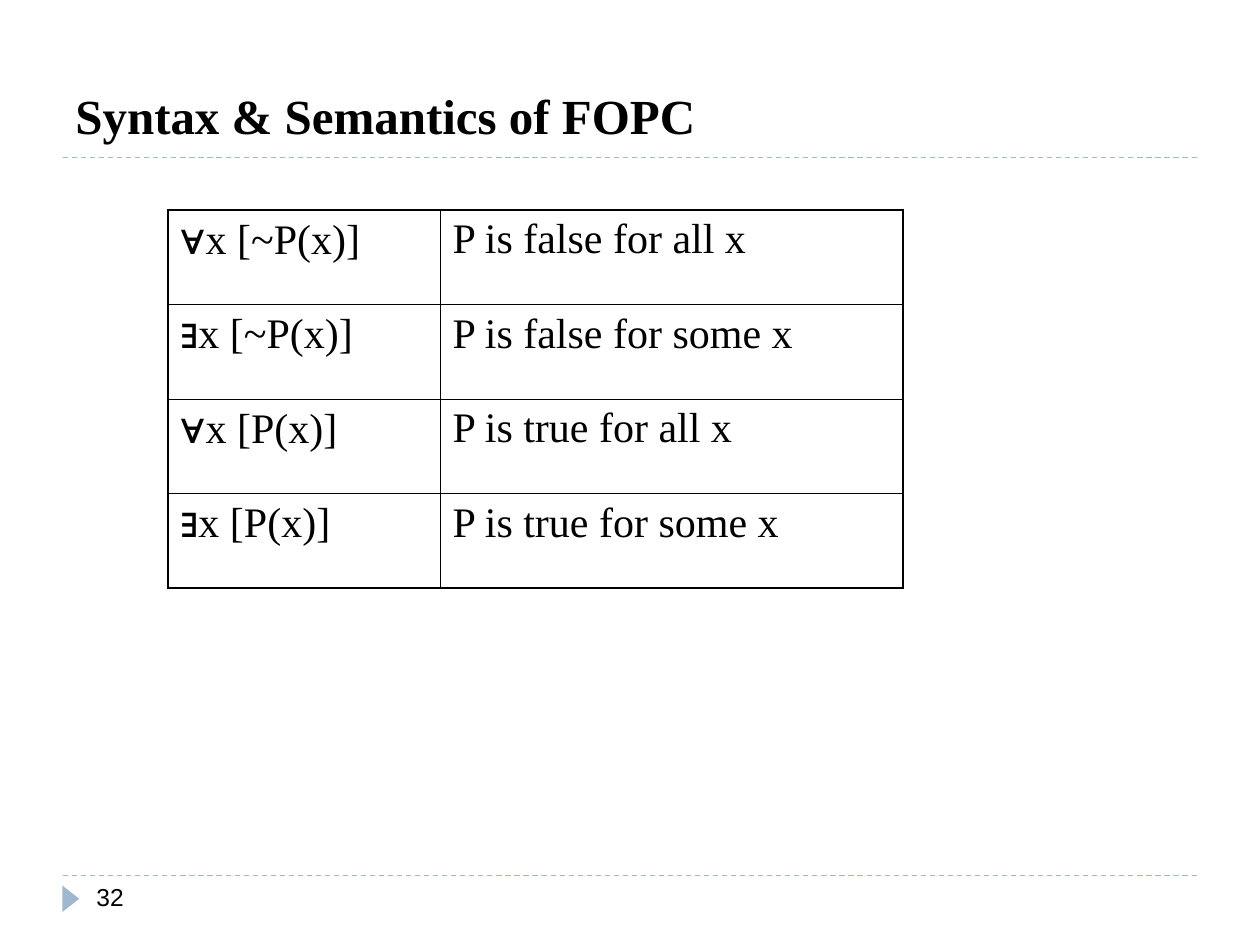
from dataclasses import dataclass

from lxml import etree
from pptx import Presentation
from pptx import util as u
from pptx.dml.color import RGBColor
from pptx.enum import dml, shapes, text
from pptx.oxml import ns


@dataclass(frozen=True)
class Theme:
    ink: str = "000000"
    accent: str = "9FB8CD"
    serif: str = "Times New Roman"
    sans: str = "Arial"
    title_size: float = 28
    cell_size: float = 24
    number_size: float = 14
    rule_width: float = 0.75
    outer_border: float = 1.08
    inner_border: float = 0.45


@dataclass(frozen=True)
class Box:
    left: float
    top: float
    width: float
    height: float

    def place(self):
        return [grid(n) for n in (self.left, self.top, self.width, self.height)]


THEME = Theme()
COLUMNS, ROWS = 120, 90
UNIT = u.Inches(10) / COLUMNS
FORMULAS = [
    ("∀", "x [~P(x)]", "P is false for all x"),
    ("∃", "x [~P(x)]", "P is false for some x"),
    ("∀", "x [P(x)]", "P is true for all x"),
    ("∃", "x [P(x)]", "P is true for some x"),
]


def grid(count):
    return u.Emu(round(count * UNIT))


def color(name):
    return RGBColor.from_string(name)


def style(font, face, size, bold=False):
    font.name, font.size, font.bold = face, u.Pt(size), bold
    font.color.rgb = color(THEME.ink)


def add_label(page, box, wording, face, size, bold=False, anchor=text.MSO_ANCHOR.TOP):
    frame = page.shapes.add_textbox(*box.place()).text_frame
    frame.word_wrap = True
    frame.vertical_anchor = anchor
    para = frame.paragraphs[0]
    para.text = wording
    style(para.font, face, size, bold)
    return frame


def add_rule(page, left, top, width):
    rule = page.shapes.add_connector(
        shapes.MSO_CONNECTOR.STRAIGHT, grid(left), grid(top), grid(left + width), grid(top))
    rule.line.color.rgb = color(THEME.accent)
    rule.line.width = u.Pt(THEME.rule_width)
    rule.line.dash_style = dml.MSO_LINE.DASH
    etree.SubElement(rule._element.spPr, ns.qn("a:effectLst"))


def add_header(page, box):
    title = Box(box.left, box.top, box.width, 7)
    frame = add_label(page, title, "Syntax & Semantics of FOPC", THEME.serif,
                      THEME.title_size, True, text.MSO_ANCHOR.BOTTOM)
    frame.margin_bottom = u.Inches(0.02)
    add_rule(page, box.left, box.top + box.height, box.width)


def add_footer(page, box):
    add_rule(page, box.left, box.top, box.width)
    marker = page.shapes.add_shape(
        shapes.MSO_SHAPE.ISOSCELES_TRIANGLE,
        *Box(box.left - 0.5, box.top + 1.4, 2.5, 1.6).place())
    marker.rotation = 90
    marker.shadow.inherit = False
    marker.fill.solid()
    marker.fill.fore_color.rgb = color(THEME.accent)
    marker.line.fill.background()
    number = Box(box.left + 2, box.top, 26, box.height)
    add_label(page, number, "32", THEME.sans, THEME.number_size)


def set_borders(cell, widths):
    properties = cell._tc.get_or_add_tcPr()
    for side, width in zip("LRTB", widths):
        line = etree.SubElement(properties, ns.qn(f"a:ln{side}"), w=str(u.Pt(width)))
        fill = etree.SubElement(line, ns.qn("a:solidFill"))
        etree.SubElement(fill, ns.qn("a:srgbClr"), val=THEME.ink)


def add_formula_table(page, box, first_share):
    table = page.shapes.add_table(len(FORMULAS), 2, *box.place()).table
    table.first_row = table.horz_banding = False
    for column, share in zip(table.columns, (first_share, 1 - first_share)):
        column.width = grid(box.width * share)
    last = len(FORMULAS) - 1
    for row, (quantifier, formula, meaning) in enumerate(FORMULAS):
        for column, spans in enumerate(((quantifier, formula), (meaning,))):
            cell = table.cell(row, column)
            edges = (column == 0, column == 1, row == 0, row == last)
            set_borders(cell, [THEME.outer_border if edge else THEME.inner_border
                               for edge in edges])
            cell.fill.background()
            para = cell.text_frame.paragraphs[0]
            style(para.font, THEME.serif, THEME.cell_size)
            for wording in spans:
                span = para.add_run()
                span.text = wording
                face = THEME.sans if wording == quantifier else THEME.serif
                style(span.font, face, THEME.cell_size)


def main():
    deck = Presentation()
    deck.slide_width, deck.slide_height = grid(COLUMNS), grid(ROWS)
    page = deck.slides.add_slide(deck.slide_layouts[6])
    add_header(page, Box(6, 7, 108, 8))
    add_footer(page, Box(6, 83.4, 108, 4.8))
    add_formula_table(page, Box(16, 20, 70, 36), 0.37)
    deck.save("out.pptx")


if __name__ == "__main__":
    main()
